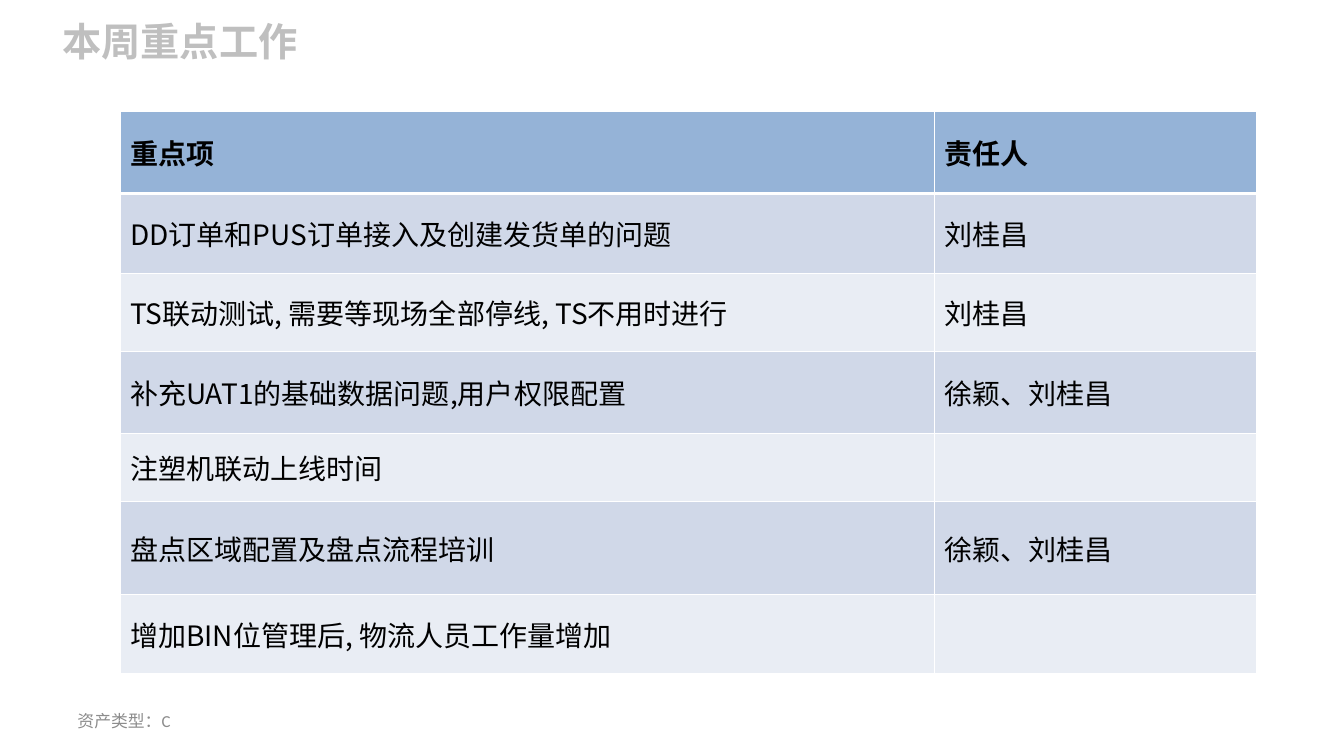
from dataclasses import dataclass

import pptx
import pptx.dml.color
import pptx.enum.text
import pptx.oxml
import pptx.oxml.ns
import pptx.util

Inches = pptx.util.Inches
Pt = pptx.util.Pt
ANCHOR = pptx.enum.text.MSO_ANCHOR


@dataclass(frozen=True)
class Theme:
    heading_font: str = "Calibri"
    table_font: str = "Noto Sans CJK SC"
    title_size: int = 28
    table_size: int = 20
    footer_size: int = 12
    title: str = "BFBFBF"
    footer: str = "8C8C8C"
    table_text: str = "000000"
    header_fill: str = "95B3D7"
    bands: tuple = ("D0D8E8", "E9EDF4")
    border: str = "FFFFFF"
    border_width: int = 1
    header_rule: int = 3


THEME = Theme()

TASKS = [
    ("重点项", "责任人"),
    ("DD订单和PUS订单接入及创建发货单的问题", "刘桂昌"),
    ("TS联动测试, 需要等现场全部停线, TS不用时进行", "刘桂昌"),
    ("补充UAT1的基础数据问题,用户权限配置", "徐颖、刘桂昌"),
    ("注塑机联动上线时间", ""),
    ("盘点区域配置及盘点流程培训", "徐颖、刘桂昌"),
    ("增加BIN位管理后, 物流人员工作量增加", ""),
]
COLUMN_WIDTHS = (8.08, 3.19)
ROW_HEIGHTS = (0.81, 0.79, 0.78, 0.81, 0.68, 0.92, 0.78)


def rgb(value):
    return pptx.dml.color.RGBColor.from_string(value)


def write(frame, text, font_name, size, color, bold=False):
    frame.text = text
    frame.word_wrap = True
    paragraph = frame.paragraphs[0]
    paragraph.alignment = pptx.enum.text.PP_ALIGN.LEFT
    for run in paragraph.runs:
        run.font.name = font_name
        run.font.size = Pt(size)
        run.font.bold = bold
        run.font.color.rgb = rgb(color)


def add_title(slide, text):
    title = slide.shapes.title
    title.left, title.top = Inches(0.52), Inches(0.12)
    title.width, title.height = Inches(9.98), Inches(0.57)
    title.text_frame.vertical_anchor = ANCHOR.TOP
    write(title.text_frame, text, THEME.heading_font, THEME.title_size,
          THEME.title, bold=True)


def add_footer(slide, text):
    footer = slide.shapes.add_textbox(Inches(0.67), Inches(6.95),
                                      Inches(3.11), Inches(0.4))
    footer.text_frame.vertical_anchor = ANCHOR.MIDDLE
    write(footer.text_frame, text, THEME.heading_font, THEME.footer_size,
          THEME.footer)


def set_borders(cell, top, bottom):
    """Draw all four sides; top and bottom are widths in points."""
    properties = cell._tc.get_or_add_tcPr()
    side = THEME.border_width
    for tag, width in (("lnL", side), ("lnR", side), ("lnT", top), ("lnB", bottom)):
        properties.append(pptx.oxml.parse_xml(
            f'<a:{tag} {pptx.oxml.ns.nsdecls("a")} w="{Pt(width)}">'
            f'<a:solidFill><a:srgbClr val="{THEME.border}"/></a:solidFill>'
            f'</a:{tag}>'))


def fill_cell(cell, text, row):
    is_header = row == 0
    set_borders(cell,
                top=THEME.header_rule if row == 1 else THEME.border_width,
                bottom=THEME.header_rule if is_header else THEME.border_width)
    cell.fill.solid()
    cell.fill.fore_color.rgb = rgb(
        THEME.header_fill if is_header else THEME.bands[(row - 1) % 2])
    cell.vertical_anchor = ANCHOR.MIDDLE
    write(cell.text_frame, text, THEME.table_font, THEME.table_size,
          THEME.table_text, bold=is_header)


def add_task_table(slide):
    table = slide.shapes.add_table(
        len(TASKS), len(COLUMN_WIDTHS), Inches(1.19), Inches(1.11),
        Inches(sum(COLUMN_WIDTHS)), Inches(sum(ROW_HEIGHTS))).table
    for column, width in zip(table.columns, COLUMN_WIDTHS):
        column.width = Inches(width)
    for row, height in zip(table.rows, ROW_HEIGHTS):
        row.height = Inches(height)
    for row, task in enumerate(TASKS):
        for column, text in enumerate(task):
            fill_cell(table.cell(row, column), text, row)


def main():
    deck = pptx.Presentation()
    deck.slide_width, deck.slide_height = Inches(13.33), Inches(7.5)
    title_only = deck.slide_layouts[5]
    slide = deck.slides.add_slide(title_only)
    add_title(slide, "本周重点工作")
    add_footer(slide, "资产类型：C")
    add_task_table(slide)
    deck.save("out.pptx")


if __name__ == "__main__":
    main()
